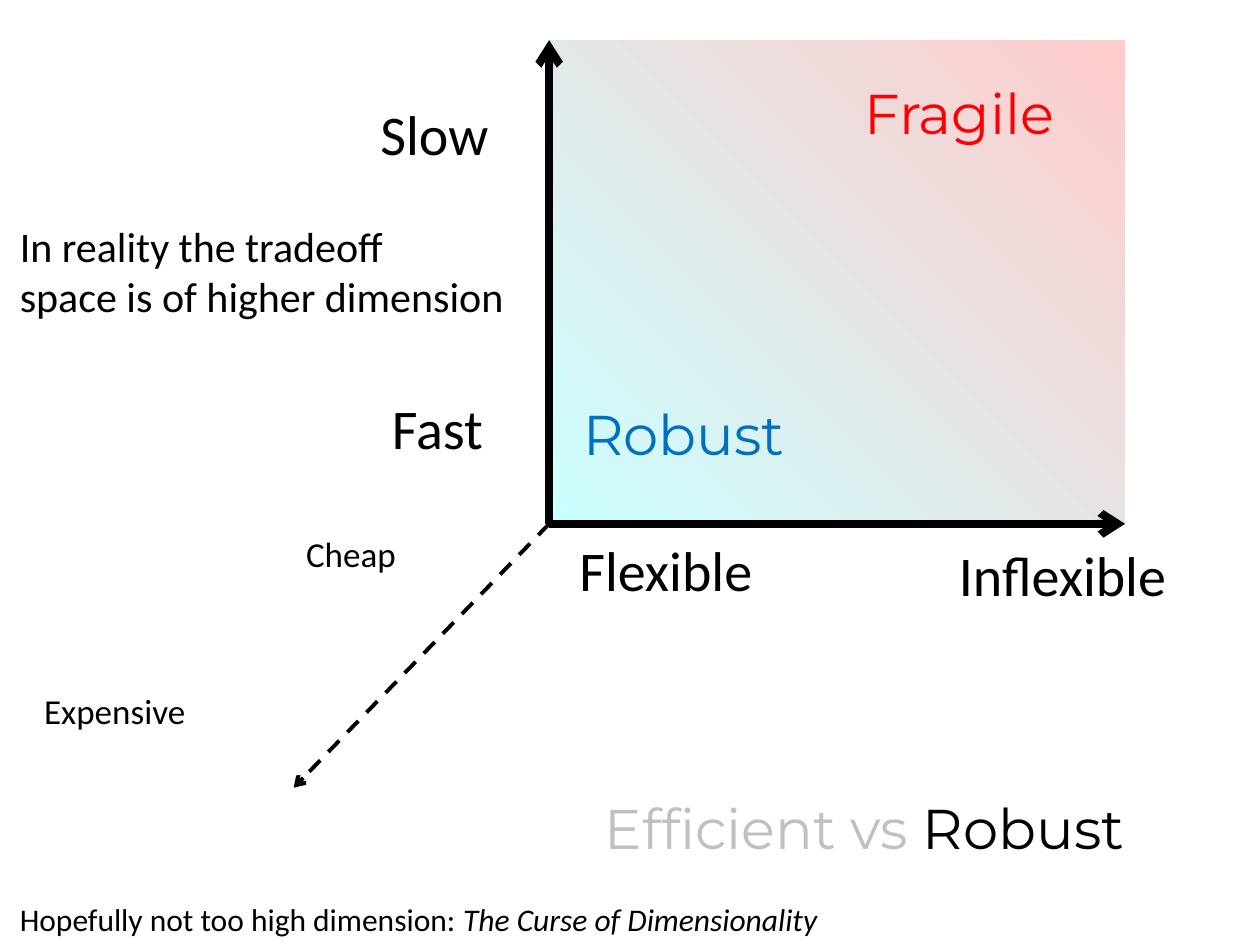
"""Build a slide on the robust-to-fragile tradeoff space."""
from lxml import etree
from pptx import Presentation
from pptx import util as u
from pptx.dml import color as colors
from pptx.enum import dml, shapes, text as texts
from pptx.oxml import ns


def hue(code):
    return colors.RGBColor.from_string(code)


def write(text, left, top, width, height=1.63, size=32, font="Calibri",
          color="000000", wrap=False, tail="", tail_color="000000", tail_italic=False):
    box = page.shapes.add_textbox(u.Cm(left), u.Cm(top), u.Cm(width), u.Cm(height))
    frame = box.text_frame
    frame.word_wrap = wrap
    frame.auto_size = texts.MSO_AUTO_SIZE.SHAPE_TO_FIT_TEXT
    frame.text = text
    for para in frame.paragraphs:
        for span in para.runs:
            span.font.color.rgb = hue(color)
    if tail:
        span = para.add_run()
        span.text = tail
        span.font.color.rgb = hue(tail_color)
        span.font.italic = tail_italic
    for para in frame.paragraphs:
        for span in para.runs:
            span.font.size = u.Pt(size)
            span.font.name = font


deck = Presentation()
deck.slide_width, deck.slide_height = u.Cm(25.4), u.Cm(19.05)
page = deck.slides.add_slide(deck.slide_layouts[6])

left, top, right, bottom = 11.07, 0.81, 22.68, 10.56
area = page.shapes.add_shape(shapes.MSO_SHAPE.RECTANGLE, u.Cm(left), u.Cm(top),
                             u.Cm(right - left), u.Cm(bottom - top))
area.shadow.inherit = False
area.line.fill.background()
area.fill.gradient()
area.fill.gradient_angle = 45
for stop, code in zip(area.fill.gradient_stops, ("CCFFFF", "FFCCCC")):
    stop.color.rgb = hue(code)

for end_x, end_y, weight, dash in (
    (left, top, 4.5, None),
    (right, bottom, 4.5, None),
    (5.92, 15.88, 2.25, dml.MSO_LINE.DASH),
):
    axis = page.shapes.add_connector(shapes.MSO_CONNECTOR.STRAIGHT, u.Cm(left),
                                     u.Cm(bottom), u.Cm(end_x), u.Cm(end_y))
    axis.line.color.rgb = hue("000000")
    axis.line.width = u.Pt(weight)
    axis.line.dash_style = dash
    etree.SubElement(axis.line._get_or_add_ln(), ns.qn("a:tailEnd"), type="arrow")
    etree.SubElement(axis._element.spPr, ns.qn("a:effectLst"))

write("Slow", 7.42, 1.88, 2.97)
write("Fast", 7.65, 7.8, 2.72)
write("Flexible", 11.43, 10.67, 4.45)
write("Inflexible", 19.08, 10.77, 5)
write("Robust", 11.51, 7.92, 4.85, font="Montserrat", color="0070C0")
write("Fragile", 17.17, 1.45, 4.83, font="Montserrat", color="FF0000")
write("Cheap", 5.92, 10.62, 2.62, 1.12, size=20)
write("Expensive", 0.64, 13.77, 3.81, 1.12, size=20)
write("Efficient vs ", 11.94, 15.88, 13.03, font="Montserrat", color="C0C0C0",
      wrap=True, tail="Robust")
write("In reality the tradeoff\nspace is of higher dimension", 0.15, 4.32, 10.36, 2.31,
      size=24)
write("Hopefully not too high dimension: ", 0.15, 18.01, 16.89, 1.02, size=18,
      tail="The Curse of Dimensionality", tail_italic=True)

deck.save("out.pptx")
